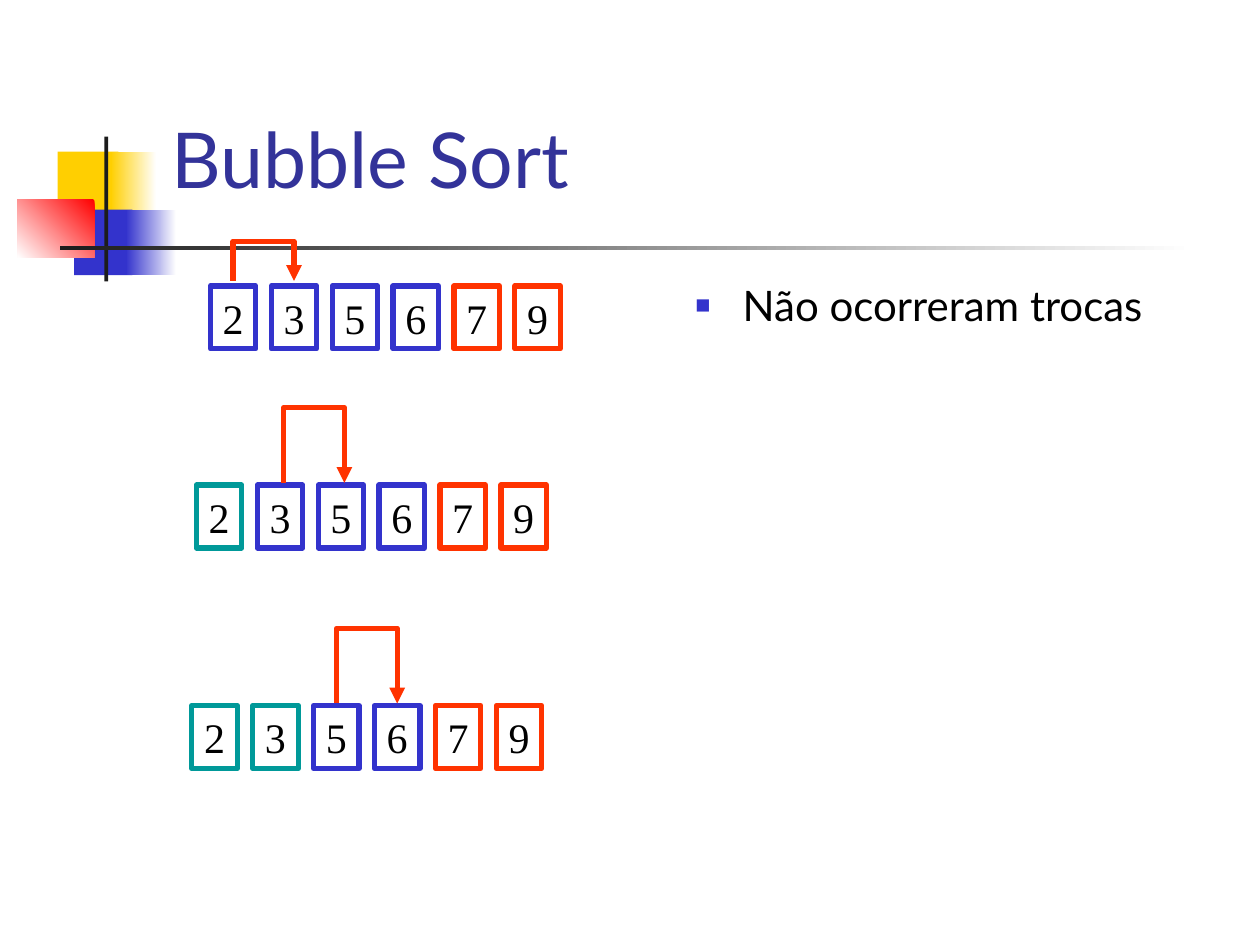
from dataclasses import dataclass

from lxml import etree
from pptx import Presentation
from pptx.dml.color import RGBColor
from pptx.enum import shapes, text
from pptx.oxml import ns
from pptx.util import Pt


@dataclass(frozen=True)
class Theme:
    white: str = "FFFFFF"
    black: str = "000000"
    ink: str = "1C1C1C"
    title: str = "333399"
    yellow: str = "FFCF01"
    blue: str = "3333CC"
    red: str = "FF0000"
    orange: str = "FF3300"
    teal: str = "009999"
    sans: str = "Lato"
    serif: str = "Times New Roman"
    title_size: int = 44
    text_size: int = 24
    stroke: int = 3


THEME = Theme()
CELL_WIDTH, CELL_HEIGHT, CELL_PITCH = 26, 36, 34.8
ELBOW_DEPTH = 0.17
VALUES = (2, 3, 5, 6, 7, 9)
SORTED_TAIL = 4


def color(value):
    return RGBColor.from_string(value)


def add_element(parent, tag, **attributes):
    return etree.SubElement(parent, ns.qn(tag), attributes)


def place(shape, box):
    shape.left, shape.top, shape.width, shape.height = map(Pt, box)


def style_text(para, font, size, ink):
    for span in para.runs:
        span.font.name = font
        span.font.size = Pt(size)
        span.font.color.rgb = color(ink)


def add_rectangle(page, box):
    shape = page.shapes.add_shape(shapes.MSO_SHAPE.RECTANGLE, *map(Pt, box))
    shape.shadow.inherit = False
    return shape


def add_ornament(page, box):
    left, top = box
    parts = (
        (23, 8.6, 34.6, 37.4, (THEME.yellow,), 0),
        (53.3, 8.6, 26, 37.4, (THEME.white, THEME.yellow), 180),
        (32.4, 41.8, 33.2, 37.4, (THEME.blue,), 0),
        (62, 41.8, 28.8, 37.4, (THEME.white, THEME.blue), 180),
        (0, 36, 44, 33.2, (THEME.red, THEME.white), 225),
        (49.7, 0, 2.2, 82.8, (THEME.ink,), 0),
        (24.5, 62.3, 648, 2.4, (THEME.white, THEME.ink), 180),
    )
    for x, y, width, height, colors, angle in parts:
        shape = add_rectangle(page, (left + x, top + y, width, height))
        shape.line.fill.background()
        if len(colors) == 1:
            shape.fill.solid()
            shape.fill.fore_color.rgb = color(colors[0])
        else:
            shape.fill.gradient()
            shape.fill.gradient_angle = angle
            for stop, value in zip(shape.fill.gradient_stops, colors):
                stop.color.rgb = color(value)


def fill_title(page, box, wording):
    title = page.shapes.title
    place(title, box)
    frame = title.text_frame
    frame.text = wording
    frame.auto_size = text.MSO_AUTO_SIZE.NONE
    frame.vertical_anchor = text.MSO_ANCHOR.BOTTOM
    para = frame.paragraphs[0]
    para.alignment = text.PP_ALIGN.LEFT
    style_text(para, THEME.sans, THEME.title_size, THEME.title)


def fill_body(page, box, wording):
    body = page.placeholders[1]
    place(body, box)
    frame = body.text_frame
    frame.text = wording
    frame.auto_size = text.MSO_AUTO_SIZE.NONE
    para = frame.paragraphs[0]
    para.space_before = Pt(0)
    properties = para._p.get_or_add_pPr()
    properties.set("marL", str(Pt(27)))
    properties.set("indent", str(Pt(-27)))
    bullet_color = add_element(properties, "a:buClr")
    add_element(bullet_color, "a:srgbClr", val=THEME.blue)
    add_element(properties, "a:buSzPct", val="60000")
    add_element(properties, "a:buChar", char="■")
    style_text(para, THEME.sans, THEME.text_size, THEME.black)


def add_cell(page, box, value, outline):
    cell = add_rectangle(page, box)
    cell.fill.background()
    cell.line.color.rgb = color(outline)
    cell.line.width = Pt(THEME.stroke)
    frame = cell.text_frame
    frame.text = str(value)
    frame.word_wrap = False
    frame.vertical_anchor = text.MSO_ANCHOR.MIDDLE
    para = frame.paragraphs[0]
    para.alignment = text.PP_ALIGN.CENTER
    style_text(para, THEME.serif, THEME.text_size, THEME.black)


def add_compare_arrow(page, box):
    left, top, width, height = box
    arrow = page.shapes.add_connector(shapes.MSO_CONNECTOR.ELBOW, 0, 0, 0, 0)
    middle, base = left + width / 2, top + height
    place(arrow, (middle - ELBOW_DEPTH / 2, base - width / 2, ELBOW_DEPTH, width))
    arrow.line.color.rgb = color(THEME.orange)
    arrow.line.width = Pt(THEME.stroke)
    properties = arrow._element.spPr
    frame = properties.find(ns.qn("a:xfrm"))
    frame.set("rot", "16200000")
    frame.set("flipH", "1")
    guides = properties.find(ns.qn("a:prstGeom")).find(ns.qn("a:avLst"))
    bend = round(-height / ELBOW_DEPTH * 100000)
    add_element(guides, "a:gd", name="adj1", fmla=f"val {bend}")
    add_element(properties.find(ns.qn("a:ln")), "a:tailEnd", type="triangle")
    add_element(properties, "a:effectLst")


def add_pass(page, box, settled, arrow_left, arrow_top, arrow_height):
    left, top = box
    for index, value in enumerate(VALUES):
        outline = THEME.blue
        if index < settled:
            outline = THEME.teal
        elif index >= SORTED_TAIL:
            outline = THEME.orange
        cell_box = (left + index * CELL_PITCH, top, CELL_WIDTH, CELL_HEIGHT)
        add_cell(page, cell_box, value, outline)
    add_compare_arrow(
        page, (left + arrow_left, top + arrow_top, CELL_PITCH, arrow_height)
    )


def main():
    deck = Presentation()
    deck.slide_width, deck.slide_height = Pt(720), Pt(540)
    page = deck.slides.add_slide(deck.slide_layouts[1])
    add_ornament(page, (10, 78))
    fill_title(page, (90.7, 49, 613.4, 71.3), "Bubble Sort")
    add_pass(page, (120.2, 163.4), 0, 13, -25.4, 22.4)
    add_pass(page, (112.2, 277.2), 1, 49.8, -44, 42.7)
    add_pass(page, (109.6, 403.2), 2, 82.6, -44, 42.7)
    fill_body(page, (390.2, 156.2, 297.4, 321.1), "Não ocorreram trocas")
    deck.save("out.pptx")


if __name__ == "__main__":
    main()
